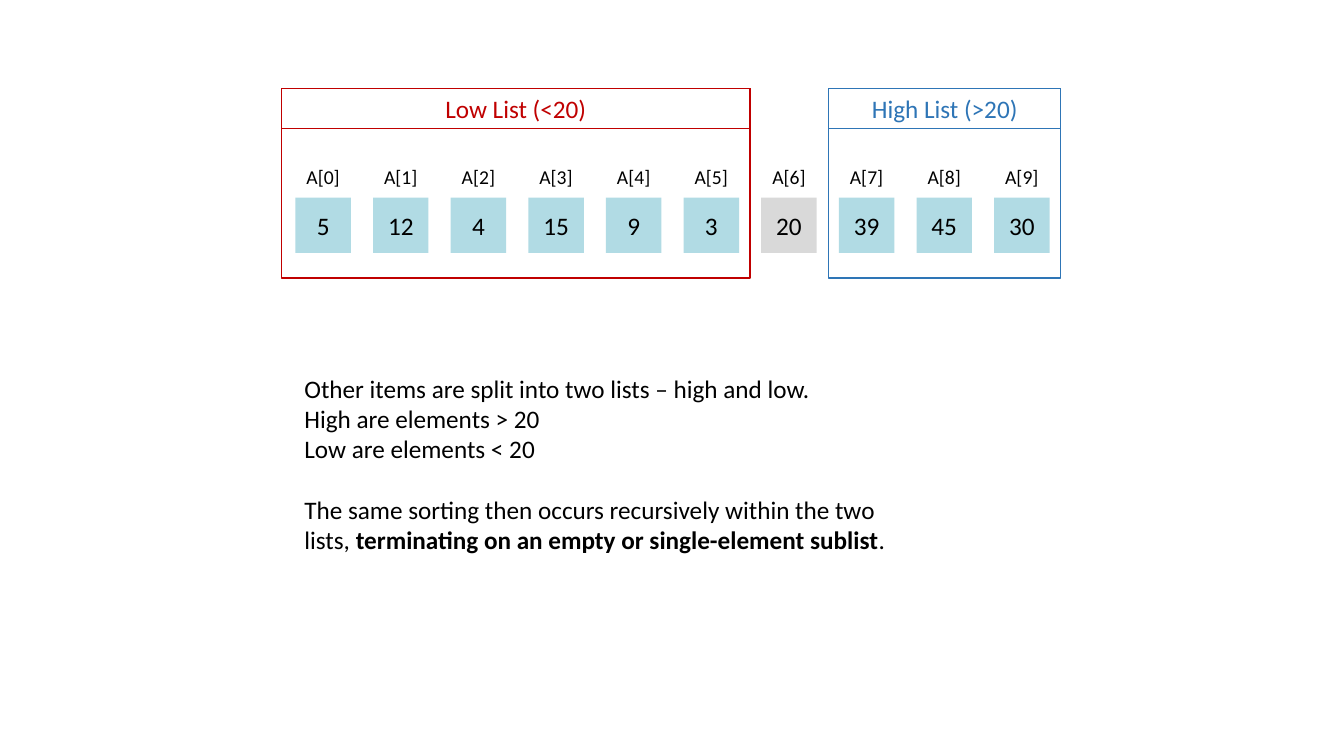
from dataclasses import dataclass

from pptx import Presentation
from pptx.dml.color import RGBColor
from pptx.enum.shapes import MSO_SHAPE as Shape
from pptx.enum.text import MSO_ANCHOR as Anchor, PP_ALIGN as Align
from pptx.util import Inches, Pt


@dataclass(frozen=True)
class Theme:
    """Colours, font and type sizes of the slide."""
    font: str = "Calibri"
    ink: str = "000000"
    cell: str = "B1DBE4"
    pivot: str = "D9D9D9"
    low: str = "C00000"
    high: str = "2E75B6"
    body_size: int = 18
    index_size: int = 14


def apply(target, values):
    """Set every attribute named in a dict of format values."""
    for name, value in values.items():
        setattr(target, name, value)


class SlideBuilder:
    """Holds the theme and the current slide."""

    def __init__(self, slide, theme):
        """Keep the slide and its style."""
        self.slide = slide
        self.theme = theme

    def fill_text(self, frame, paragraphs, size, color=None, align=Align.CENTER,
                  anchor=Anchor.MIDDLE, inset=0):
        """Fill a text frame with paragraphs of (text, bold) runs."""
        margin = Inches(inset)
        apply(frame, {"word_wrap": True, "vertical_anchor": anchor,
                      "margin_left": margin, "margin_right": margin})
        for number, runs in enumerate(paragraphs):
            paragraph = frame.paragraphs[0] if number == 0 else frame.add_paragraph()
            paragraph.alignment = align
            for text, bold in runs:
                run = paragraph.add_run()
                run.text = text
                apply(run.font, {"name": self.theme.font, "size": Pt(size), "bold": bold})
                run.font.color.rgb = RGBColor.from_string(color or self.theme.ink)

    def box(self, bounds, fill=None, line=None, weight=1, text=None, color=None):
        """Draw a rectangle with optional fill, outline and centred text."""
        shape = self.slide.shapes.add_shape(Shape.RECTANGLE, *map(Inches, bounds))
        shape.shadow.inherit = False
        if fill:
            shape.fill.solid()
            shape.fill.fore_color.rgb = RGBColor.from_string(fill)
        else:
            shape.fill.background()
        if line:
            shape.line.color.rgb = RGBColor.from_string(line)
            shape.line.width = Pt(weight)
        else:
            shape.line.fill.background()
        if text:
            self.fill_text(shape.text_frame, [[(text, False)]], self.theme.body_size, color)

    def text(self, bounds, paragraphs, size, **style):
        """Add a text box and return its frame."""
        frame = self.slide.shapes.add_textbox(*map(Inches, bounds)).text_frame
        self.fill_text(frame, paragraphs, size, **style)
        return frame


VALUES = [5, 12, 4, 15, 9, 3, 20, 39, 45, 30]
PIVOT = 20
CELL_SIZE, CELL_PITCH, ARRAY_LEFT = 0.55, 0.77, 2.93
INDEX_TOP, CELL_TOP = 1.48, 1.96
LIST_TOP, LIST_HEIGHT, HEADING_HEIGHT = 0.88, 1.88, 0.4
EXPLANATION = [
    [("Other items are split into two lists – high and low.", False)],
    [("High are elements > 20", False)],
    [("Low are elements < 20", False)],
    [("The same sorting then occurs recursively within the two lists, ", False),
     ("terminating on an empty or single-element sublist", True), (".", False)],
]


def draw_array(builder):
    """Draw the array cells with an index above each."""
    theme = builder.theme
    for index, value in enumerate(VALUES):
        left = ARRAY_LEFT + index * CELL_PITCH
        fill = theme.pivot if value == PIVOT else theme.cell
        builder.box((left, CELL_TOP, CELL_SIZE, CELL_SIZE), fill=fill, text=str(value))
        builder.text((left, INDEX_TOP, CELL_SIZE, CELL_SIZE),
                     [[(f"A[{index}]", False)]], theme.index_size)


def draw_lists(builder):
    """Frame the low and high lists, each with a heading."""
    theme = builder.theme
    for heading, left, width, color in (
            (f"Low List (<{PIVOT})", 2.79, 4.65, theme.low),
            (f"High List (>{PIVOT})", 8.22, 2.3, theme.high)):
        builder.box((left, LIST_TOP, width, LIST_HEIGHT), line=color)
        builder.box((left, LIST_TOP, width, HEADING_HEIGHT), line=color,
                    weight=0.75, text=heading, color=color)


def main():
    """Build and save the slide."""
    deck = Presentation()
    apply(deck, {"slide_width": Inches(13.33), "slide_height": Inches(7.5)})
    blank_layout = deck.slide_layouts[6]
    builder = SlideBuilder(deck.slides.add_slide(blank_layout), Theme())
    draw_array(builder)
    explanation = builder.text((2.92, 3.65, 6.28, 1.92), EXPLANATION,
                               builder.theme.body_size, align=Align.LEFT,
                               anchor=Anchor.TOP, inset=0.1)
    explanation.paragraphs[-1].space_before = Pt(22)
    draw_lists(builder)
    deck.save("out.pptx")


main()
